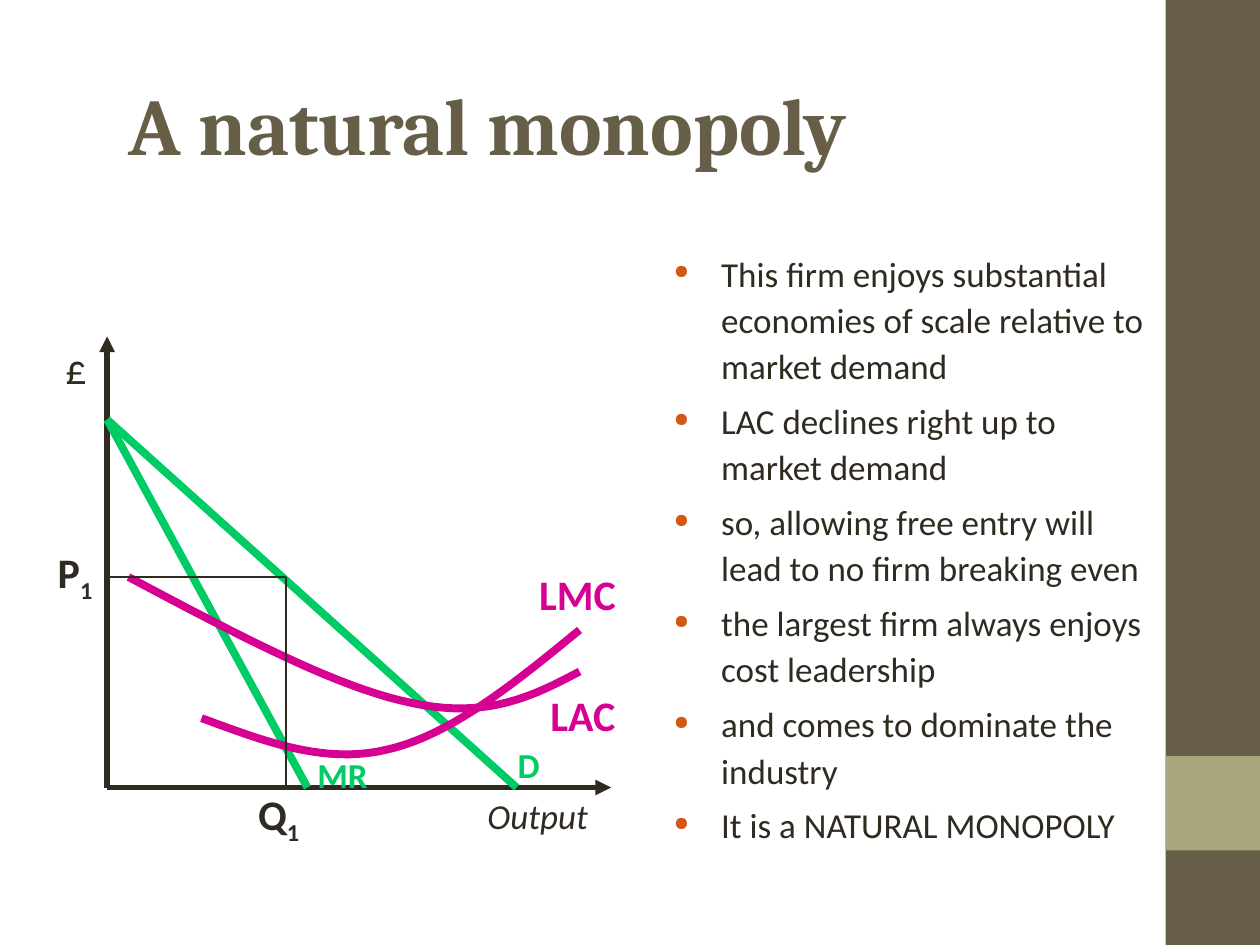
"""Build a slide on natural monopoly: a cost and demand diagram beside its bullet points."""
from lxml import etree
from pptx import Presentation
from pptx import util as u
from pptx.dml.color import RGBColor
from pptx.enum import shapes, text
from pptx.oxml.ns import qn

COLORS = {"olive": "675E47", "sage": "A9A57C", "ink": "2F2B20",
          "bullet": "D25814", "demand": "00CC66", "cost": "D60093"}

deck = Presentation()
deck.slide_width, deck.slide_height = u.Inches(10), u.Inches(7.5)
slide = deck.slides.add_slide(deck.slide_layouts[6])
COL, ROW = deck.slide_width / 100, deck.slide_height / 75


def write(lines, left, top, width, height, size=24, color="ink", font="Calibri", bold=False,
          italic=False, sub="", wrap=False, middle=False, bulleted=False):
    box = slide.shapes.add_textbox(*(int(n) for n in (left * COL, top * ROW, width * COL, height * ROW)))
    frame = box.text_frame
    frame.word_wrap = wrap
    frame.auto_size = text.MSO_AUTO_SIZE.NONE if wrap else text.MSO_AUTO_SIZE.SHAPE_TO_FIT_TEXT
    frame.vertical_anchor = text.MSO_ANCHOR.MIDDLE if middle else text.MSO_ANCHOR.TOP
    for i, line in enumerate(lines.split("\n")):
        para = frame.add_paragraph() if i else frame.paragraphs[0]
        if bulleted:
            props = para._p.get_or_add_pPr()
            props.set("marL", str(int(3.75 * COL)))
            props.set("indent", str(int(-3.75 * COL)))
            tint = etree.SubElement(props, qn("a:buClr"))
            etree.SubElement(tint, qn("a:srgbClr"), val=COLORS["bullet"])
            etree.SubElement(props, qn("a:buSzPct"), val="55000")
            etree.SubElement(props, qn("a:buChar"), char="●")
            para.line_spacing = 1.1
            para.space_before = u.Pt(5 if i else 0)
        for part in filter(None, (line, sub)):
            run = para.add_run()
            run.text = part
            run.font.name, run.font.size = font, u.Pt(size)
            run.font.bold, run.font.italic = bold, italic
            run.font.color.rgb = RGBColor.from_string(COLORS[color])
            if part == sub:
                run._r.get_or_add_rPr().set("baseline", "-25000")


def draw_line(start, end, color, weight, arrow=False):
    line = slide.shapes.add_connector(
        shapes.MSO_CONNECTOR.STRAIGHT, int(start[0] * COL), int(start[1] * ROW),
        int(end[0] * COL), int(end[1] * ROW))
    line.line.color.rgb = RGBColor.from_string(COLORS[color])
    line.line.width = u.Pt(weight)
    if arrow:
        etree.SubElement(line.line._get_or_add_ln(), qn("a:tailEnd"), type="triangle")
    etree.SubElement(line._element.spPr, qn("a:effectLst"))


for top, height, color in ((0, 75, "olive"), (60, 7.5, "sage")):
    band = slide.shapes.add_shape(shapes.MSO_SHAPE.RECTANGLE, int(92.5 * COL), int(top * ROW),
                                  int(7.5 * COL), int(height * ROW))
    band.shadow.inherit = False
    band.fill.solid()
    band.fill.fore_color.rgb = RGBColor.from_string(COLORS[color])
    band.line.fill.background()

write("A natural monopoly", 9.2, 3.7, 85, 12.1, size=46, color="olive", font="Cambria",
      bold=True, wrap=True, middle=True)

points = """This firm enjoys substantial economies of scale relative to market demand
LAC declines right up to market demand
so, allowing free entry will lead to no firm breaking even
the largest firm always enjoys cost leadership
and comes to dominate the industry
It is a NATURAL MONOPOLY"""
write(points, 52.5, 19.2, 40.1, 45, size=20, wrap=True, bulleted=True)

origin = (8.5, 62.5)
choke_price = (8.5, 33.3)
optimum = (22.7, 45.8)
draw_line(origin, (48.5, 62.5), "ink", 3, arrow=True)
draw_line(origin, (8.5, 26.7), "ink", 3, arrow=True)
for output_limit in (41, 24.4):
    draw_line(choke_price, (output_limit, origin[1]), "demand", 4.5)

lac = ((10.2, 45.8), (18.5, 50.2), (26.7, 54.6), (32.7, 55.8), (38.7, 57.1), (42.4, 55.2), (46, 53.3))
lmc = ((16, 57), (20.9, 58.8), (25.7, 60.7), (30.7, 59.5), (35.7, 58.4), (40.9, 54.2), (46, 50))
STEPS = 20
for controls in (lac, lmc):
    trace = []
    for first in (0, 3):
        a, b, c, d = controls[first:first + 4]
        for step in range(1, STEPS + 1):
            t = step / STEPS
            trace.append(tuple((1 - t) ** 3 * p + 3 * (1 - t) ** 2 * t * q + 3 * (1 - t) * t ** 2 * r + t ** 3 * s
                               for p, q, r, s in zip(a, b, c, d)))
    pen = slide.shapes.build_freeform(int(controls[0][0] * COL), int(controls[0][1] * ROW))
    pen.add_line_segments([(int(x * COL), int(y * ROW)) for x, y in trace], close=False)
    curve = pen.convert_to_shape()
    curve.shadow.inherit = False
    curve.fill.background()
    curve.line.color.rgb = RGBColor.from_string(COLORS["cost"])
    curve.line.width = u.Pt(4.5)

write("LMC", 41.8, 44.6, 8.1, 5, color="cost", bold=True)
write("LAC", 42.7, 54.2, 7.2, 5, color="cost", bold=True)
write("D", 40.1, 58.5, 3.7, 4.4, size=20, color="demand", bold=True)
write("MR", 24.2, 59.3, 6, 4.4, size=20, color="demand", bold=True)

draw_line((optimum[0], origin[1]), optimum, "ink", 0.75)
draw_line(optimum, (origin[0], optimum[1]), "ink", 0.75)

write("P", 3.6, 42.9, 5.5, 5.6, bold=True, sub="1", wrap=True)
write("£", 4.2, 26.7, 3.7, 5)
write("Q", 19.5, 62.1, 6, 5.6, bold=True, sub="1", wrap=True)
write("Output", 37.7, 62.6, 10, 4.4, size=20, italic=True)

deck.save("out.pptx")
